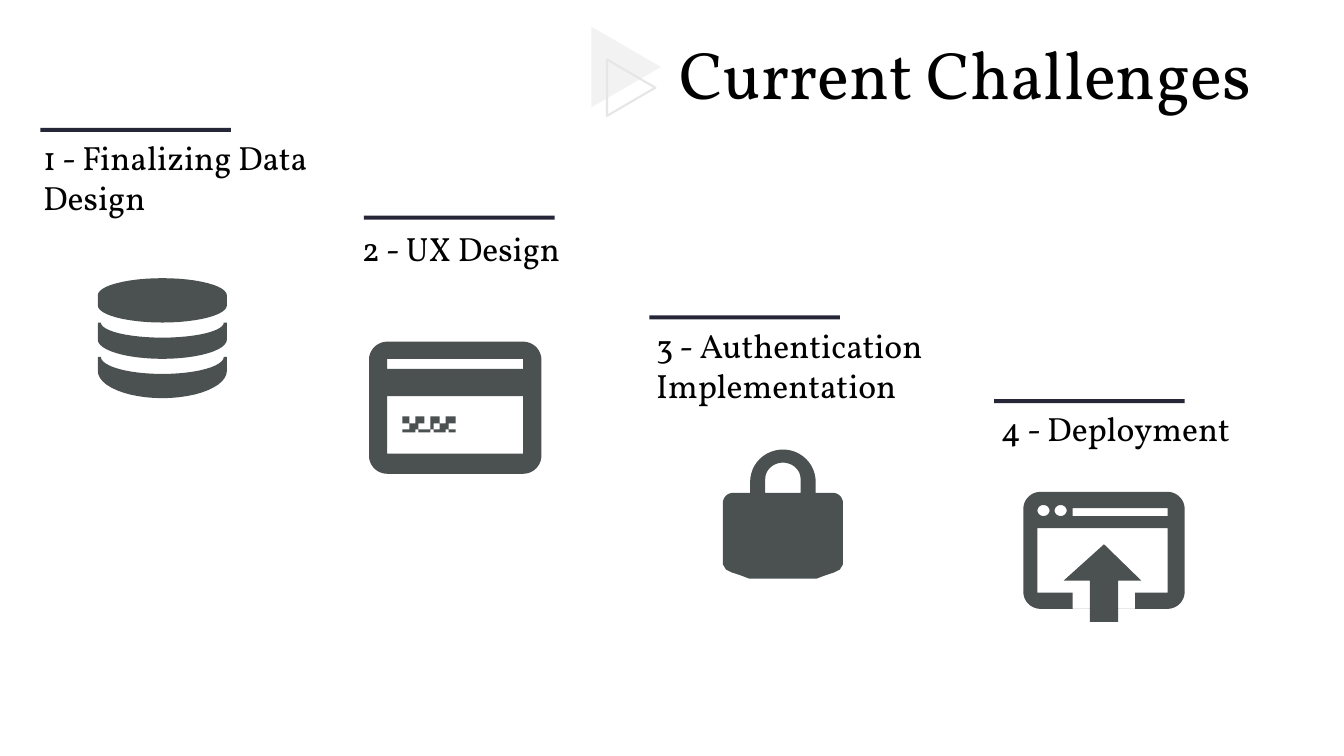
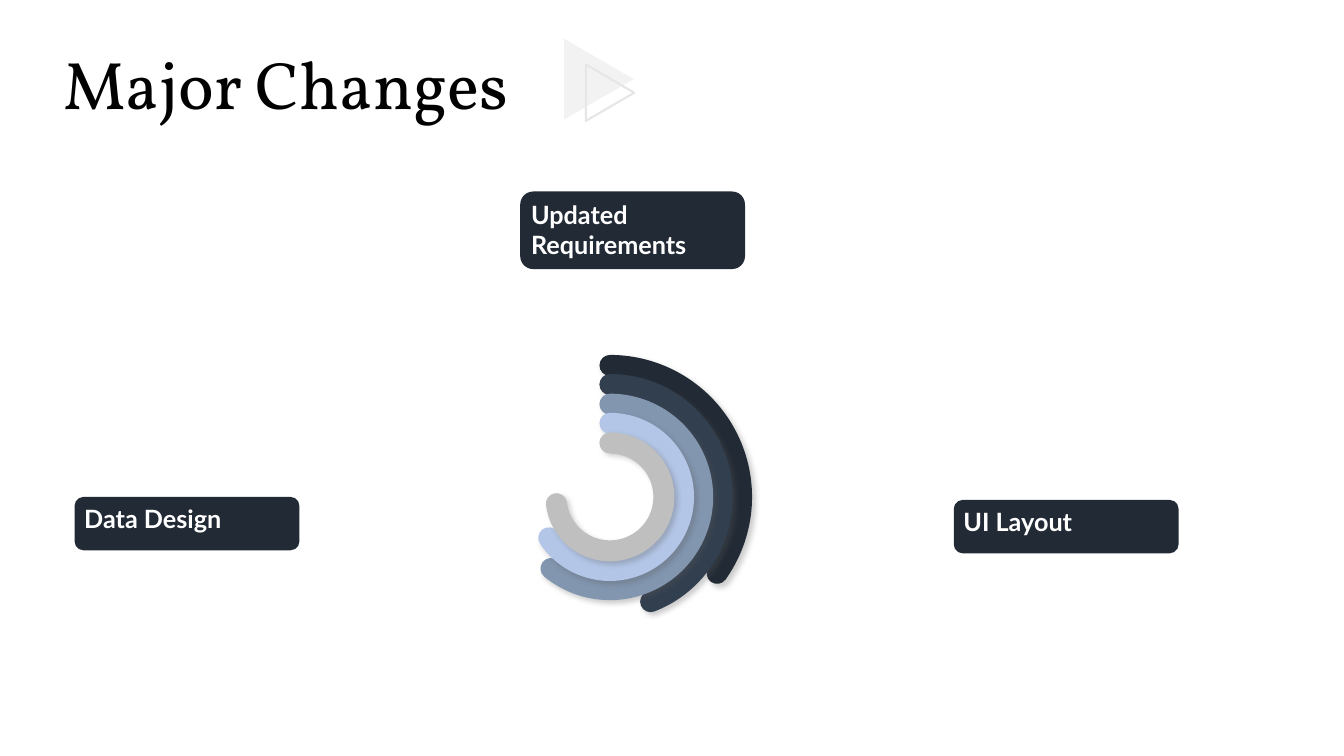
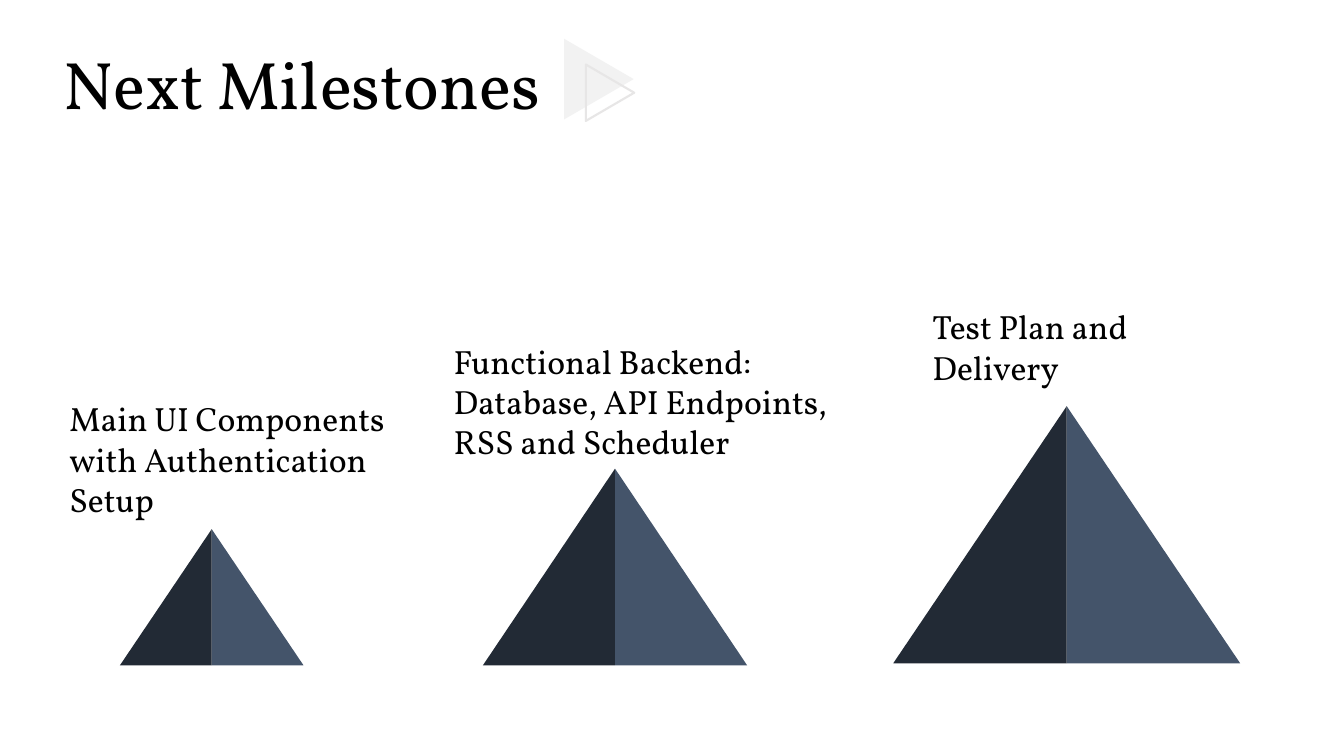
"""Builds three project status slides: challenges, changes and milestones."""

import dataclasses
import math
from typing import Any

import lxml.etree
import pptx
import pptx.dml.color
import pptx.enum.shapes
import pptx.enum.text
import pptx.oxml.ns
import pptx.slide
import pptx.util

Inches = pptx.util.Inches
Preset = pptx.enum.shapes.MSO_SHAPE
Contour = list[tuple[float, float]]

COLORS = {
    "ink": "000000", "paper": "FFFFFF", "marker": "F2F2F2", "marker_edge": "E7E6E6",
    "rule": "252738", "icon": "4B5050", "navy": "222A35", "slate": "44546A",
    "arc_2": "323F4F", "arc_3": "8296B0", "arc_4": "B3C6E7", "arc_5": "BFBFBF",
    "shadow": "595959",
}
TITLE_FONT = {"name": "Vollkorn", "size": pptx.util.Pt(48)}
BODY_FONT = {"name": "Vollkorn", "size": pptx.util.Pt(24)}
LABEL_FONT = {"name": "Lato", "size": pptx.util.Pt(18), "bold": True}
TEXT_FRAME = {
    "word_wrap": True,
    "vertical_anchor": pptx.enum.text.MSO_ANCHOR.TOP,
    "margin_left": Inches(0.1), "margin_right": Inches(0.1),
    "margin_top": Inches(0.05), "margin_bottom": Inches(0.05),
}
LABEL_FRAME = TEXT_FRAME | {
    "margin_left": Inches(0.07), "margin_right": Inches(0.07),
    "margin_top": Inches(0.04), "margin_bottom": Inches(0.04),
}


@dataclasses.dataclass(frozen=True)
class Box:
    left: float
    top: float
    width: float
    height: float

    def emu(self) -> tuple[int, ...]:
        return tuple(Inches(length) for length in dataclasses.astuple(self))


@dataclasses.dataclass(frozen=True)
class Heading:
    text: str
    place: Box
    solid_marker: Box
    open_marker: Box


@dataclasses.dataclass(frozen=True)
class Challenge:
    text: str
    left: float
    top: float
    rule_left: float
    rule_top: float
    icon: list[Contour]


@dataclasses.dataclass(frozen=True)
class Ring:
    diameter: float
    end_angle: float
    color: str


@dataclasses.dataclass(frozen=True)
class Milestone:
    text: str
    place: Box
    peak: float
    top: float
    half_width: float
    height: float


def rgb(color: str) -> pptx.dml.color.RGBColor:
    return pptx.dml.color.RGBColor.from_string(COLORS[color])


def apply(target: Any, values: dict[str, Any]) -> None:
    for attribute, value in values.items():
        setattr(target, attribute, value)


def write(frame: Any, text: str, font: dict, color: str, layout: dict) -> None:
    apply(frame, layout)
    paragraph = frame.paragraphs[0]
    paragraph.alignment = pptx.enum.text.PP_ALIGN.LEFT
    run = paragraph.add_run()
    run.text = text
    apply(run.font, font)
    run.font.color.rgb = rgb(color)


def add_text(slide: pptx.slide.Slide, place: Box, text: str, font: dict) -> None:
    write(slide.shapes.add_textbox(*place.emu()).text_frame, text, font, "ink", TEXT_FRAME)


def paint(shape: Any, fill: str | None, edge: str | None = None, weight: float = 0) -> None:
    shape.shadow.inherit = False
    if fill:
        shape.fill.solid()
        shape.fill.fore_color.rgb = rgb(fill)
    else:
        shape.fill.background()
    if edge:
        shape.line.color.rgb = rgb(edge)
        shape.line.width = pptx.util.Pt(weight)
    else:
        shape.line.fill.background()


def add_heading(slide: pptx.slide.Slide, heading: Heading) -> None:
    add_text(slide, heading.place, heading.text, TITLE_FONT)
    marker = slide.shapes.add_group_shape()
    for place, fill, edge in (
        (heading.solid_marker, "marker", None),
        (heading.open_marker, None, "marker_edge"),
    ):
        triangle = marker.shapes.add_shape(Preset.ISOSCELES_TRIANGLE, *place.emu())
        triangle.rotation = 90
        paint(triangle, fill, edge, 1.5)


def left_heading(text: str) -> Heading:
    return Heading(text, Box(0.53, 0.37, 6.45, 0.91),
                   Box(5.54, 0.44, 0.8, 0.69), Box(5.77, 0.68, 0.56, 0.48))


def box(left: float, top: float, right: float, bottom: float) -> Contour:
    return [(left, top), (right, top), (right, bottom), (left, bottom)]


def arc(left: float, top: float, right: float, bottom: float,
        start: float, sweep: float) -> Contour:
    steps = 24
    angles = [math.radians(start + sweep * step / steps) for step in range(steps + 1)]
    return [
        ((left + right + (right - left) * math.cos(angle)) / 2,
         (top + bottom + (bottom - top) * math.sin(angle)) / 2)
        for angle in angles
    ]


def rounded(left: float, top: float, right: float, bottom: float, radius: float) -> Contour:
    size = 2 * radius
    return (arc(left, top, left + size, top + size, 180, 90)
            + arc(right - size, top, right, top + size, 270, 90)
            + arc(right - size, bottom - size, right, bottom, 0, 90)
            + arc(left, bottom - size, left + size, bottom, 90, 90))


def disk_band(top: float, dip: float, side: float, drop: float) -> Contour:
    return ([(0.97, top)] + arc(1, top - dip, 2.22, top + dip, 180, -180)
            + [(2.25, top)] + arc(0.97, side - drop, 2.25, side + drop, 0, 180))


def database_icon() -> list[Contour]:
    top_disk = arc(0.97, 2.76, 2.25, 3.1, 180, 180) + arc(0.97, 2.86, 2.25, 3.2, 0, 180)
    return [top_disk, disk_band(3.2, 0.15, 3.37, 0.19), disk_band(3.54, 0.17, 3.68, 0.27)]


def screen_icon() -> list[Contour]:
    glyph_rows = {
        (4.13, 4.2): ((3.99, 4.06), (4.12, 4.21), (4.27, 4.36), (4.42, 4.52)),
        (4.2, 4.26): ((4.06, 4.15), (4.27, 4.3), (4.36, 4.45)),
        (4.26, 4.29): ((3.99, 4.12), (4.15, 4.27), (4.3, 4.42), (4.45, 4.52)),
    }
    glyphs = [box(left, top, right, bottom)
              for (top, bottom), spans in glyph_rows.items() for left, right in spans]
    return [rounded(3.66, 3.39, 5.37, 4.7, 0.18), box(3.84, 3.56, 5.19, 3.66),
            box(3.84, 3.93, 5.19, 4.5), *glyphs]


def lock_icon() -> list[Contour]:
    body = ([(7.44, 4.89)] + arc(7.44, 4.46, 8.09, 5.1, 180, 180) + [(8.09, 4.89)]
            + arc(8.16, 4.89, 8.36, 5.09, 270, 90)
            + [(8.36, 5.6), (8.33, 5.65), (8.27, 5.68), (8.18, 5.71), (8.1, 5.74),
               (7.43, 5.74), (7.35, 5.71), (7.26, 5.68), (7.2, 5.65), (7.17, 5.6)]
            + arc(7.17, 4.89, 7.37, 5.09, 180, 90))
    opening = arc(7.59, 4.59, 7.94, 4.91, 180, 180) + [(7.94, 4.89), (7.59, 4.89)]
    return [body, opening]


def upload_icon() -> list[Contour]:
    window = [(10.29, 5.24), (11.58, 5.24), (11.58, 5.88), (11.26, 5.88),
              (11.26, 6.04), (10.64, 6.04), (10.64, 5.88), (10.29, 5.88)]
    arrow = [(10.95, 5.4), (11.32, 5.76), (11.09, 5.76), (11.09, 6.17),
             (10.81, 6.17), (10.81, 5.76), (10.55, 5.76)]
    buttons = [arc(left, 5.01, left + 0.12, 5.12, 0, 360) for left in (10.29, 10.46)]
    return [rounded(10.15, 4.88, 11.75, 6.04, 0.17), window, arrow,
            box(10.64, 5.04, 11.58, 5.12), *buttons]


def add_icon(slide: pptx.slide.Slide, contours: list[Contour]) -> None:
    outlines = [[(Inches(x), Inches(y)) for x, y in contour] for contour in contours]
    builder = slide.shapes.build_freeform(*outlines[0][0])
    for outline in outlines:
        if outline is not outlines[0]:
            builder.move_to(*outline[0])
        builder.add_line_segments(outline[1:], close=True)
    paint(builder.convert_to_shape(), "icon")


def add_challenge(slide: pptx.slide.Slide, challenge: Challenge) -> None:
    rule = Box(challenge.rule_left, challenge.rule_top, 1.89, 0.04)
    paint(slide.shapes.add_shape(Preset.RECTANGLE, *rule.emu()), "rule")
    add_text(slide, Box(challenge.left, challenge.top, 3.07, 0.71), challenge.text, BODY_FONT)
    add_icon(slide, challenge.icon)


def add_ring(slide: pptx.slide.Slide, ring: Ring) -> None:
    center_x, center_y, radius = 6.05, 4.93, ring.diameter / 2
    place = Box(center_x - radius, center_y - radius, ring.diameter, ring.diameter)
    shape = slide.shapes.add_shape(Preset.ARC, *place.emu())
    for index, angle in enumerate((270, ring.end_angle)):
        shape.adjustments[index] = angle * 0.6
    paint(shape, None, ring.color, 15)
    qn = pptx.oxml.ns.qn
    properties = shape._element.spPr
    properties.find(qn("a:ln")).set("cap", "rnd")
    shadow = lxml.etree.SubElement(
        properties.find(qn("a:effectLst")), qn("a:outerShdw"),
        {"blurRad": str(pptx.util.Pt(4)), "dist": str(pptx.util.Pt(3)),
         "dir": str(45 * 60000), "algn": "tl", "rotWithShape": "0"})
    tint = lxml.etree.SubElement(shadow, qn("a:srgbClr"), {"val": COLORS["shadow"]})
    lxml.etree.SubElement(tint, qn("a:alpha"), {"val": "30000"})


def add_label(slide: pptx.slide.Slide, place: Box, text: str) -> None:
    label = slide.shapes.add_shape(Preset.ROUNDED_RECTANGLE, *place.emu())
    paint(label, "navy")
    write(label.text_frame, text, LABEL_FONT, "paper", LABEL_FRAME)


def add_milestone(slide: pptx.slide.Slide, milestone: Milestone) -> None:
    pyramid = slide.shapes.add_group_shape()
    for left, color, flipped in (
        (milestone.peak, "slate", False),
        (milestone.peak - milestone.half_width, "navy", True),
    ):
        place = Box(left, milestone.top, milestone.half_width, milestone.height)
        face = pyramid.shapes.add_shape(Preset.RIGHT_TRIANGLE, *place.emu())
        paint(face, color)
        if flipped:
            face._element.spPr.xfrm.set("flipH", "1")
    add_text(slide, milestone.place, milestone.text, BODY_FONT)


def main() -> None:
    deck = pptx.Presentation()
    deck.slide_width, deck.slide_height = Inches(13.33), Inches(7.5)
    blank = deck.slide_layouts[6]

    challenges = deck.slides.add_slide(blank)
    add_heading(challenges, Heading("Current Challenges", Box(6.64, 0.27, 6.45, 0.91),
                                    Box(5.81, 0.32, 0.8, 0.69), Box(5.98, 0.63, 0.56, 0.48)))
    for challenge in (
        Challenge("1 - Finalizing Data Design", 0.33, 1.31, 0.4, 1.27, database_icon()),
        Challenge("2 - UX Design", 3.49, 2.21, 3.61, 2.14, screen_icon()),
        Challenge("3 - Authentication Implementation", 6.41, 3.17, 6.44, 3.13, lock_icon()),
        Challenge("4 - Deployment", 9.83, 4, 9.86, 3.96, upload_icon()),
    ):
        add_challenge(challenges, challenge)

    changes = deck.slides.add_slide(blank)
    add_heading(changes, left_heading("Major Changes"))
    for ring in (
        Ring(2.61, 35.49, "navy"),
        Ring(2.23, 68.78, "arc_2"),
        Ring(1.84, 129.47, "arc_3"),
        Ring(1.46, 146.22, "arc_4"),
        Ring(1.07, 172.77, "arc_5"),
    ):
        add_ring(changes, ring)
    for text, place in (
        ("Updated Requirements", Box(5.16, 1.9, 2.23, 0.77)),
        ("Data Design", Box(0.74, 4.93, 2.23, 0.53)),
        ("UI Layout", Box(9.46, 4.96, 2.23, 0.53)),
    ):
        add_label(changes, place, text)

    milestones = deck.slides.add_slide(blank)
    add_heading(milestones, left_heading("Next Milestones"))
    for milestone in (
        Milestone("Main UI Components with Authentication Setup",
                  Box(0.59, 3.9, 3.58, 0.71), 2.1, 5.25, 0.91, 1.35),
        Milestone("Functional Backend: Database, API Endpoints, RSS and Scheduler",
                  Box(4.4, 3.33, 4.03, 0.71), 6.1, 4.65, 1.31, 1.95),
        Milestone("Test Plan and Delivery",
                  Box(9.15, 2.99, 3.15, 0.91), 10.58, 4.03, 1.72, 2.55),
    ):
        add_milestone(milestones, milestone)

    deck.save("out.pptx")


if __name__ == "__main__":
    main()
